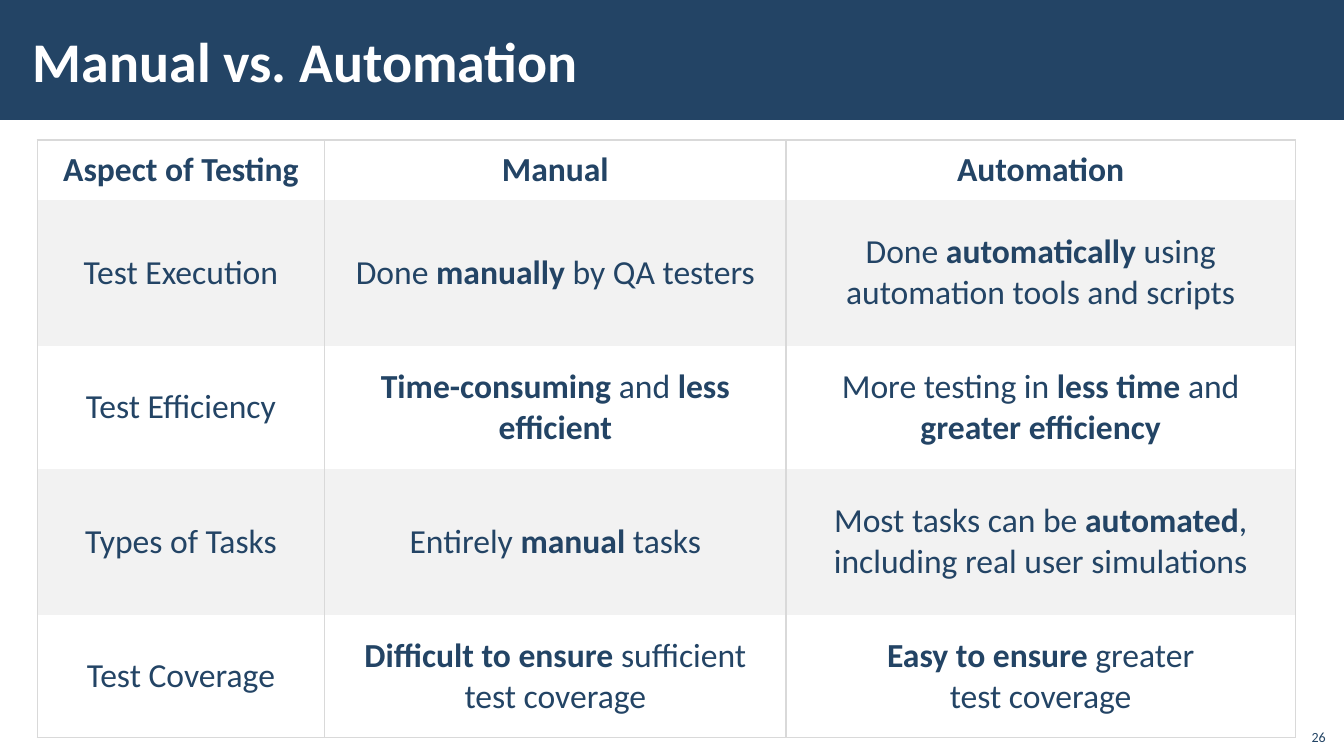
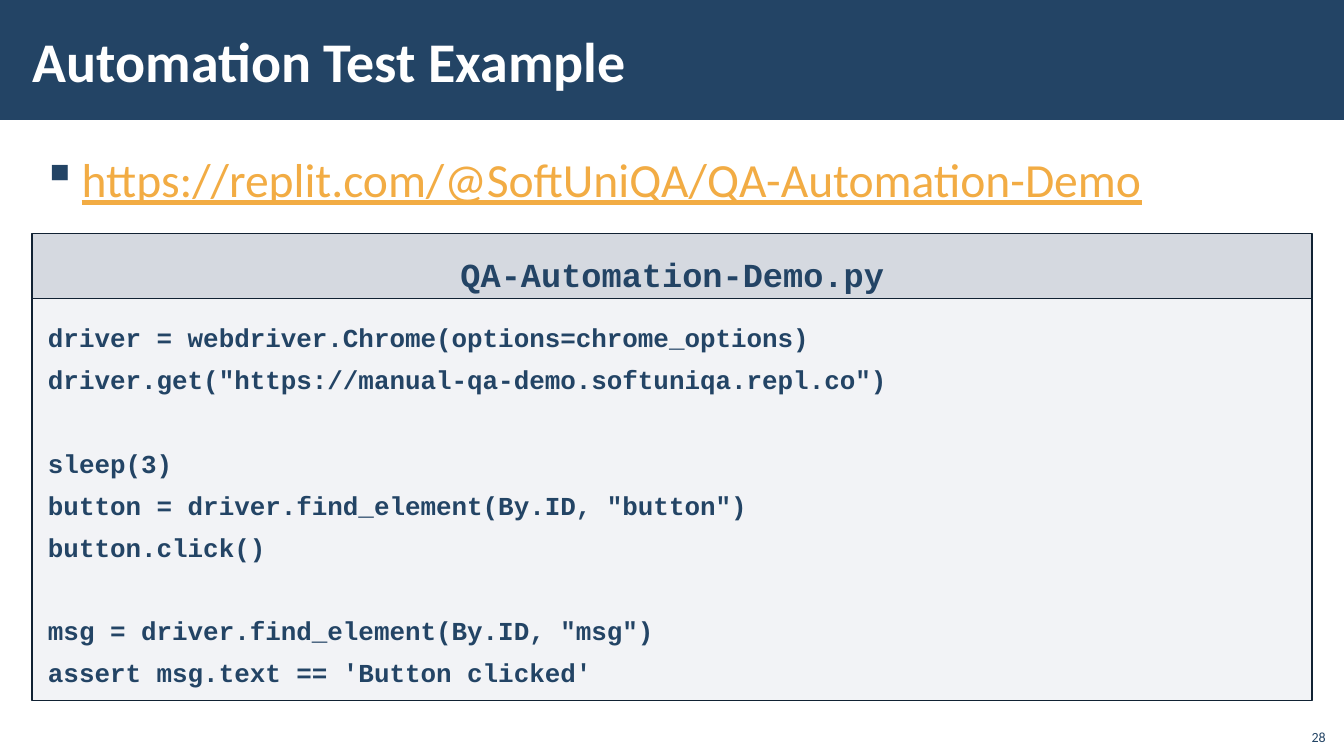
from dataclasses import dataclass

from lxml.etree import SubElement
from pptx import Presentation
from pptx.dml.color import RGBColor
from pptx.enum.shapes import MSO_SHAPE as Shape
from pptx.enum.text import MSO_ANCHOR as Anchor, PP_ALIGN as Align
from pptx.oxml.ns import qn
from pptx.util import Cm, Pt

COLORS = {
    "navy": "234465",
    "white": "FFFFFF",
    "stripe": "F2F2F2",
    "border": "D9D9D9",
    "panel": "ADB4C3",
    "outline": "112233",
    "link": "F2AC44",
}
BODY_FONT = "Calibri"
CODE_FONT = "Courier New"


@dataclass(frozen=True)
class Box:
    """Position and size in centimetres."""
    left: float
    top: float
    width: float
    height: float

    def emu(self) -> tuple:
        return Cm(self.left), Cm(self.top), Cm(self.width), Cm(self.height)


@dataclass(frozen=True)
class Panel:
    """A translucent code panel; opacity is in percent."""
    box: Box
    lines: tuple
    opacity: int
    size: float
    align: Align
    inset_top: float
    line_spacing: float | Pt | None = None


BAND = Box(0, -0.03, 33.88, 3.05)
TITLE = Box(0.53, 0.28, 27, 2.46)
PAGE_NUMBER = Box(32.64, 18.08, 1.02, 0.81)
LINK = Box(0.81, 3.53, 32.61, 2.2)

# Table content: ** switches bold on and off, a line feed starts a paragraph
TABLE_LEFT, TABLE_TOP = 0.94, 3.53
COL_WIDTHS = (7.24, 11.63, 12.83)
ROW_HEIGHTS = (1.5, 3.68, 3.1, 3.68, 3.1)
ROWS = (
    ("**Aspect of Testing**", "**Manual**", "**Automation**"),
    ("Test Execution", "Done **manually** by QA testers",
     "Done **automatically** using\nautomation tools and scripts"),
    ("Test Efficiency", "**Time-consuming** and **less**\n**efficient**",
     "More testing in **less time** and\n**greater efficiency**"),
    ("Types of Tasks", "Entirely **manual** tasks",
     "Most tasks can be **automated**,\nincluding real user simulations"),
    ("Test Coverage", "**Difficult to ensure** sufficient test coverage",
     "**Easy to ensure** greater\ntest coverage"),
)

CODE = """driver = webdriver.Chrome(options=chrome_options)
driver.get("https://manual-qa-demo.softuniqa.repl.co")

sleep(3)
button = driver.find_element(By.ID, "button")
button.click()

msg = driver.find_element(By.ID, "msg")
assert msg.text == 'Button clicked'"""

PANELS = (
    Panel(Box(0.81, 7.52, 32.26, 10.13), tuple(CODE.split("\n")), 15, 18.5,
          Align.LEFT, 0.3, Pt(30)),
    Panel(Box(0.81, 5.89, 32.26, 1.63), ("QA-Automation-Demo.py",), 50, 24,
          Align.CENTER, 0.51),
)


def rgb(name: str) -> RGBColor:
    return RGBColor.from_string(COLORS[name])


def set_frame(tf, anchor=Anchor.TOP, *, side=0.3, top=0.1, bottom=0.1) -> None:
    tf.word_wrap = True
    tf.vertical_anchor = anchor
    tf.margin_left = tf.margin_right = Cm(side)
    tf.margin_top, tf.margin_bottom = Cm(top), Cm(bottom)


def write(tf, lines, *, size: float, color="navy", font=BODY_FONT, bold=False,
          underline=None, align=Align.LEFT, line_spacing=None) -> None:
    """Fill a text frame with one paragraph per line; ** toggles bold."""
    for i, line in enumerate(lines):
        p = tf.add_paragraph() if i else tf.paragraphs[0]
        p.alignment = align
        p.line_spacing = line_spacing
        for j, part in enumerate(line.split("**")):
            if not part:
                continue
            r = p.add_run()
            r.text = part
            r.font.name, r.font.size = font, Pt(size)
            r.font.bold = bold or j % 2 == 1
            r.font.underline = underline
            r.font.color.rgb = rgb(color)


def add_rect(slide, box: Box, fill: str, opacity=100, line=None):
    sp = slide.shapes.add_shape(Shape.RECTANGLE, *box.emu())
    sp.shadow.inherit = False
    sp.fill.solid()
    sp.fill.fore_color.rgb = rgb(fill)
    if opacity < 100:
        clr = sp.fill._xPr.find(qn("a:solidFill")).find(qn("a:srgbClr"))
        SubElement(clr, qn("a:alpha"), val=str(opacity * 1000))
    if line:
        sp.line.color.rgb = rgb(line)
        sp.line.width = Pt(1)
    else:
        sp.line.fill.background()
    return sp


def add_text(slide, box: Box, text: str, *, anchor=Anchor.TOP, top=0.1, **fmt):
    tf = slide.shapes.add_textbox(*box.emu()).text_frame
    set_frame(tf, anchor, side=0.25, top=top)
    write(tf, [text], **fmt)
    return tf


def add_slide(prs, title: str, number: int):
    """Title band, title and page number shared by every slide."""
    slide = prs.slides.add_slide(prs.slide_layouts[5])
    band = add_rect(slide, BAND, "navy")
    slide.shapes.element.insert(2, band.element)
    sp = slide.shapes.title
    sp.left, sp.top, sp.width, sp.height = TITLE.emu()
    set_frame(sp.text_frame, Anchor.MIDDLE)
    write(sp.text_frame, [title], size=40, color="white", bold=True)
    add_text(slide, PAGE_NUMBER, str(number), anchor=Anchor.BOTTOM, size=10,
             align=Align.RIGHT)
    return slide


def set_borders(cell, visible: str) -> None:
    """Draw the sides named in visible (of L, R, T, B) and hide the others."""
    tc_pr = cell._tc.get_or_add_tcPr()
    for side in "LRTB":
        ln = SubElement(tc_pr, qn(f"a:ln{side}"), w=str(Pt(1)))
        if side in visible:
            fill = SubElement(ln, qn("a:solidFill"))
            SubElement(fill, qn("a:srgbClr"), val=COLORS["border"])
        else:
            SubElement(ln, qn("a:noFill"))


def add_comparison(slide) -> None:
    box = Box(TABLE_LEFT, TABLE_TOP, sum(COL_WIDTHS), sum(ROW_HEIGHTS))
    table = slide.shapes.add_table(len(ROWS), len(COL_WIDTHS), *box.emu()).table
    for col, width in zip(table.columns, COL_WIDTHS):
        col.width = Cm(width)
    last = len(ROWS) - 1
    for i, texts in enumerate(ROWS):
        table.rows[i].height = Cm(ROW_HEIGHTS[i])
        sides = "LR" + ("T" if i == 0 else "") + ("B" if i == last else "")
        for j, text in enumerate(texts):
            cell = table.cell(i, j)
            set_borders(cell, sides)
            cell.fill.solid()
            cell.fill.fore_color.rgb = rgb("stripe" if i % 2 else "white")
            cell.vertical_anchor = Anchor.MIDDLE
            cell.margin_left = cell.margin_right = Cm(0.5)
            cell.margin_top = cell.margin_bottom = Cm(0.08)
            write(cell.text_frame, text.split("\n"), size=24, bold=i == 0,
                  align=Align.CENTER)


def add_bullet(p, char: str, indent: float) -> None:
    p_pr = p._p.get_or_add_pPr()
    p_pr.set("marL", str(Cm(indent)))
    p_pr.set("indent", str(-Cm(indent)))
    clr = SubElement(p_pr, qn("a:buClr"))
    SubElement(clr, qn("a:srgbClr"), val=COLORS["navy"])
    SubElement(p_pr, qn("a:buChar"), char=char)


def add_panel(slide, panel: Panel) -> None:
    sp = add_rect(slide, panel.box, "panel", panel.opacity, "outline")
    set_frame(sp.text_frame, side=0.4, top=panel.inset_top, bottom=0.3)
    write(sp.text_frame, panel.lines, size=panel.size, font=CODE_FONT,
          bold=True, align=panel.align, line_spacing=panel.line_spacing)


def main() -> None:
    prs = Presentation()
    prs.slide_width, prs.slide_height = Cm(33.87), Cm(19.05)

    # Comparison table
    add_comparison(add_slide(prs, "Manual vs. Automation", 26))

    # Code example
    slide = add_slide(prs, "Automation Test Example", 28)
    for panel in PANELS:
        add_panel(slide, panel)
    tf = add_text(slide, LINK,
                  "https://replit.com/@SoftUniQA/QA-Automation-Demo",
                  top=0.18, size=34, color="link", underline=True,
                  line_spacing=1.05)
    add_bullet(tf.paragraphs[0], "▪", 1)

    prs.save("out.pptx")


if __name__ == "__main__":
    main()
